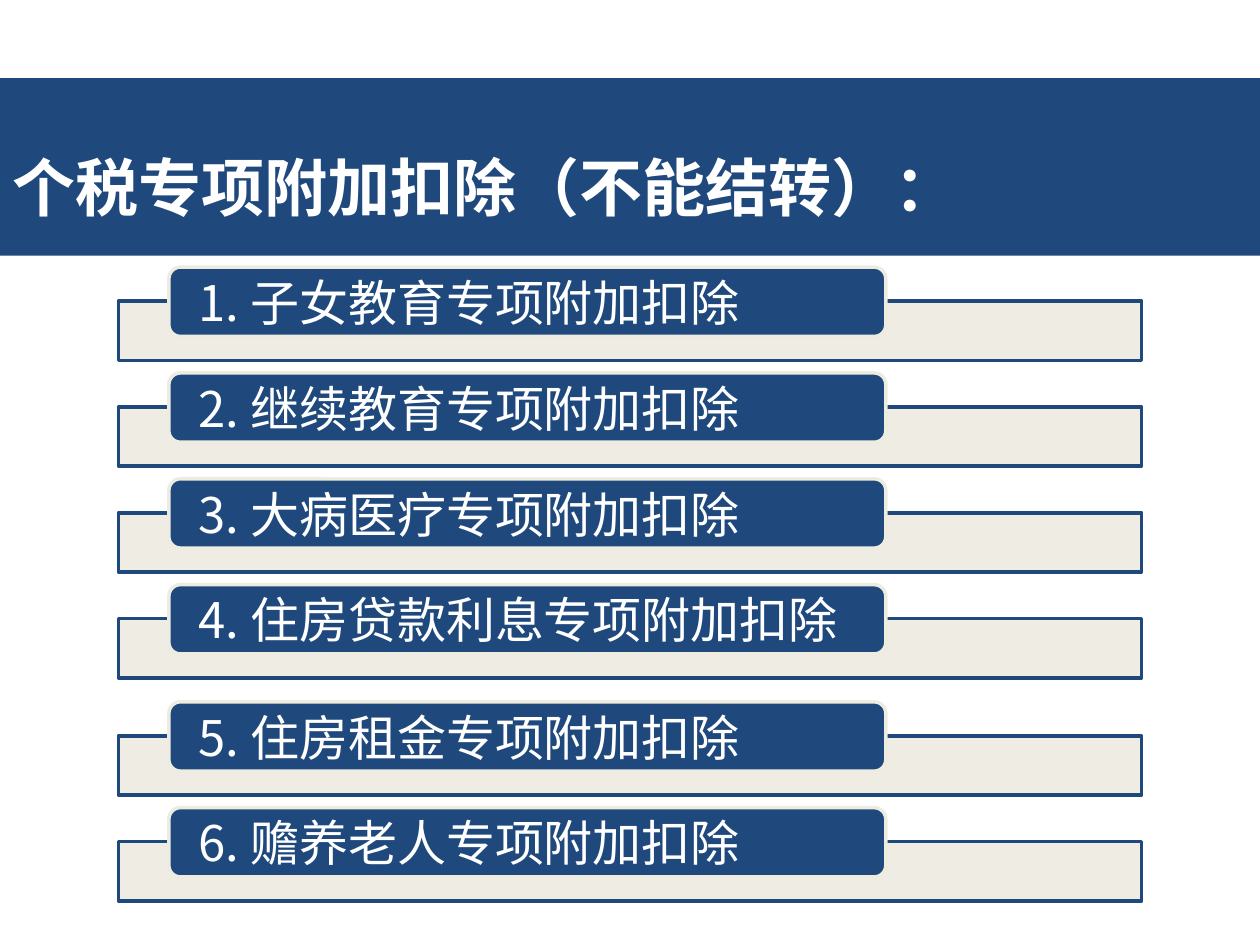
from lxml.etree import SubElement
from pptx import Presentation
from pptx.dml.color import RGBColor
from pptx.enum.shapes import MSO_SHAPE
from pptx.enum.text import MSO_ANCHOR, MSO_AUTO_SIZE, PP_ALIGN
from pptx.oxml.ns import qn
from pptx.util import Inches, Pt

NAVY, CREAM, WHITE = "1F497D", "EEECE1", "FFFFFF"
FONT = "Noto Sans CJK SC"

DEDUCTIONS = ["子女教育", "继续教育", "大病医疗", "住房贷款利息", "住房租金", "赡养老人"]
FIRST_ROW, ROW_PITCH = 2.12, 0.84
SECOND_BLOCK, BLOCK_GAP = 4, 0.09  # the last two rows sit slightly lower


def colour(hex_code):
    return RGBColor.from_string(hex_code)


class DeductionSlide:
    """Holds the style and the slide that is being built."""

    def __init__(self, deck):
        self.slide = deck.slides.add_slide(deck.slide_layouts[5])

    def set_text(self, shape, text, size, inset, bold=False):
        frame = shape.text_frame
        frame.text = text
        frame.word_wrap = True
        frame.auto_size = MSO_AUTO_SIZE.NONE
        frame.vertical_anchor = MSO_ANCHOR.MIDDLE
        frame.margin_left = frame.margin_right = Inches(inset)
        frame.margin_top = frame.margin_bottom = 0
        paragraph = frame.paragraphs[0]
        paragraph.alignment = PP_ALIGN.LEFT
        font = paragraph.runs[0].font
        font.size, font.bold, font.name = Pt(size), bold, FONT
        font.color.rgb = colour(WHITE)
        # East Asian typeface
        run_properties = shape.element.find(".//" + qn("a:rPr"))
        SubElement(run_properties, qn("a:ea"), typeface=FONT)
        return paragraph

    def banner(self, text, top, height):
        title = self.slide.shapes.title
        title.left, title.top = 0, Inches(top)
        title.width, title.height = Inches(10), Inches(height)
        title.fill.solid()
        title.fill.fore_color.rgb = colour(NAVY)
        self.set_text(title, text, 36, 0.1, bold=True).line_spacing = 1.5

    def panel(self, kind, left, top, width, height, fill, line):
        panel = self.slide.shapes.add_shape(
            kind, Inches(left), Inches(top), Inches(width), Inches(height))
        panel.shadow.inherit = False
        panel.fill.solid()
        panel.fill.fore_color.rgb = colour(fill)
        panel.line.color.rgb = colour(line)
        panel.line.width = Pt(2)
        return panel

    def deduction_row(self, text, top):
        # Pale bar behind, slightly transparent
        bar = self.panel(MSO_SHAPE.RECTANGLE, 0.94, top + 0.27, 8.12, 0.47, CREAM, NAVY)
        tint = bar.element.spPr.find(qn("a:solidFill"))[0]
        SubElement(tint, qn("a:alpha"), val="90000")
        # Rounded label in front
        label = self.panel(MSO_SHAPE.ROUNDED_RECTANGLE, 1.34, top, 5.69, 0.55, NAVY, CREAM)
        self.set_text(label, text, 28, 0.21)


def main():
    deck = Presentation()
    deck.slide_width, deck.slide_height = Inches(10), Inches(7.5)
    page = DeductionSlide(deck)

    # Title banner
    page.banner("个税专项附加扣除（不能结转）：", 0.62, 1.41)

    # Numbered deductions
    for index, deduction in enumerate(DEDUCTIONS):
        top = FIRST_ROW + index * ROW_PITCH
        if index >= SECOND_BLOCK:
            top += BLOCK_GAP
        page.deduction_row(f"{index + 1}. {deduction}专项附加扣除", top)

    deck.save("out.pptx")


if __name__ == "__main__":
    main()
